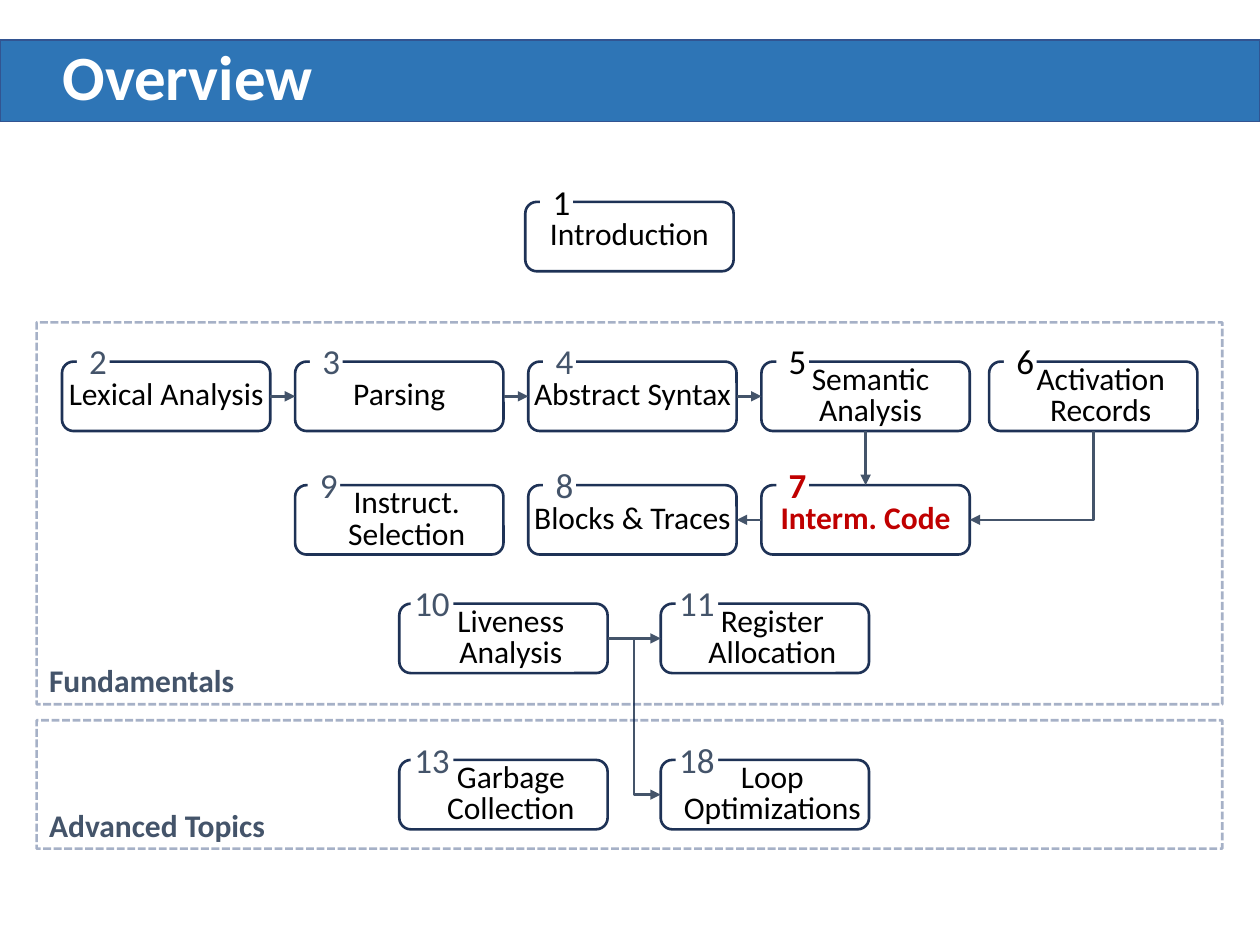
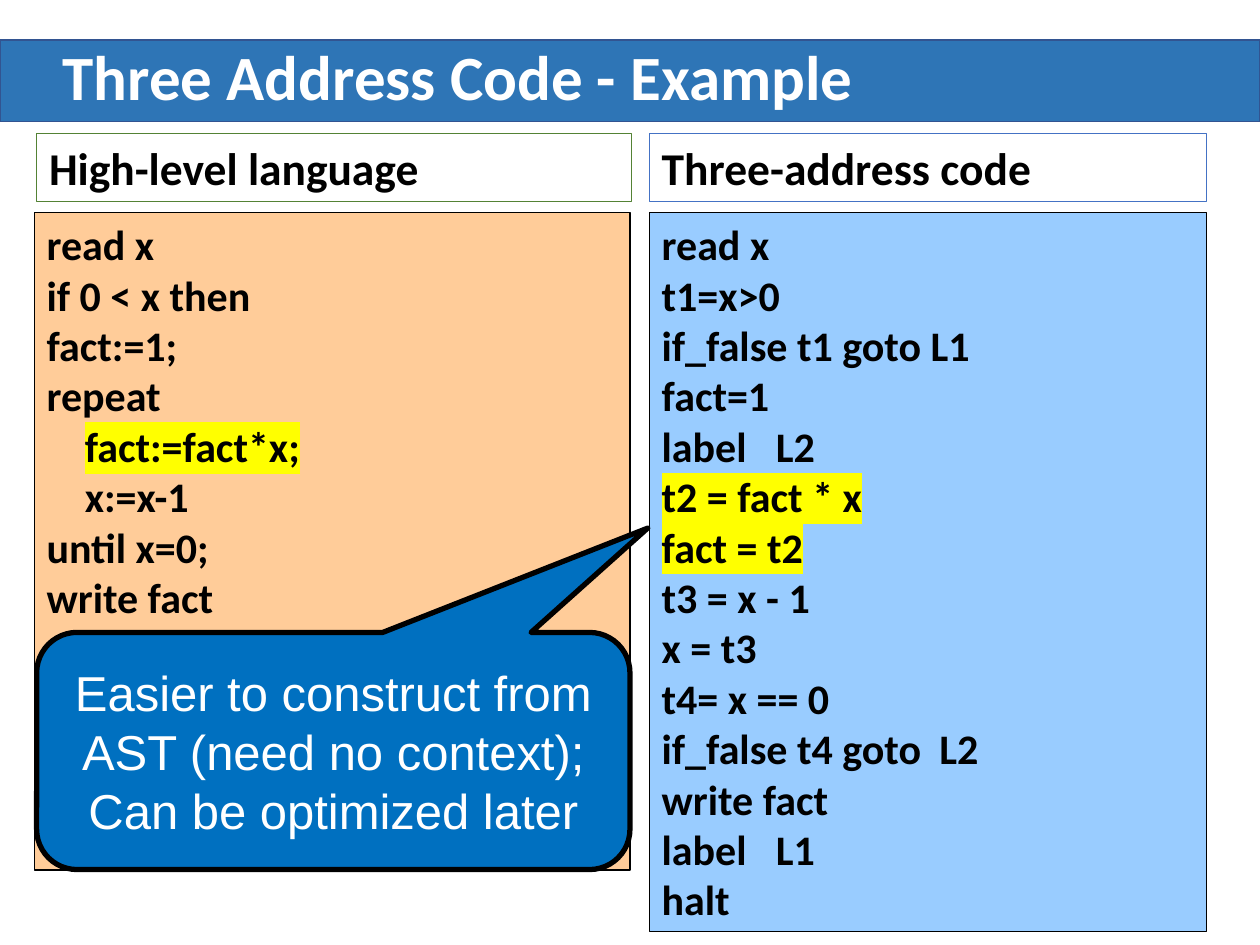
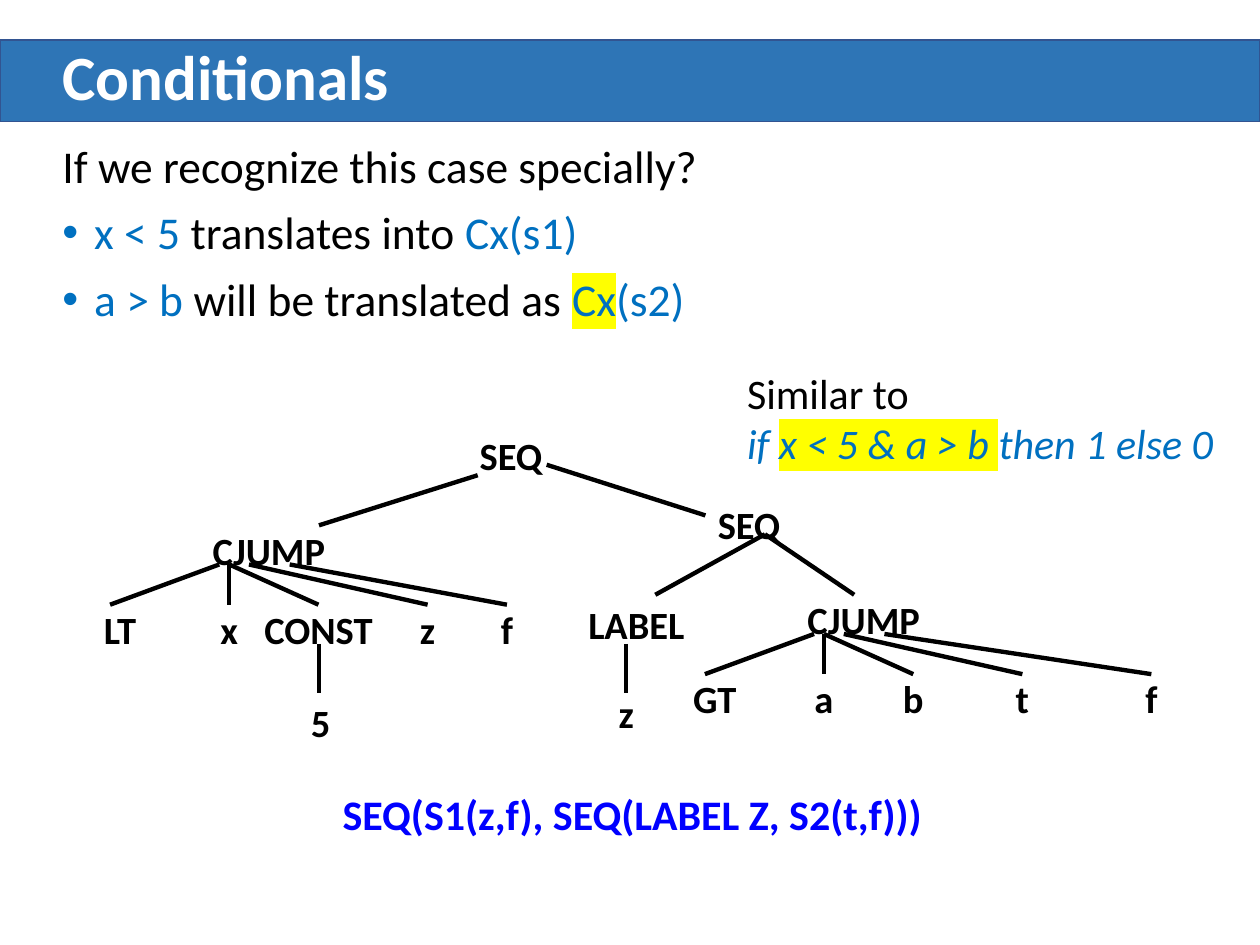
from dataclasses import dataclass
from typing import Sequence

from lxml.etree import SubElement
from pptx import Presentation
from pptx.dml.color import RGBColor
from pptx.enum.dml import MSO_LINE as Dash
from pptx.enum.shapes import MSO_CONNECTOR as Link, MSO_SHAPE as Preset
from pptx.enum.text import MSO_ANCHOR as Anchor, PP_ALIGN as Align
from pptx.oxml.ns import qn
from pptx.oxml.xmlchemy import OxmlElement
from pptx.util import Cm, Pt

BLACK, WHITE, YELLOW = "000000", "FFFFFF", "FFFF00"
BAND, BAND_EDGE = "2E75B6", "325491"
NAVY, SLATE, RED, BLUE = "1E3256", "44546A", "C00000", "0070C0"
DEFAULT_INSETS = (0.25, 0.13, 0.25, 0.13)
NO_INSETS = (0, 0, 0, 0)
TOP, LEFT, BOTTOM, RIGHT = range(4)


@dataclass(frozen=True)
class Style:
    size: float
    color: str = BLACK
    bold: bool = False
    italic: bool = False
    font: str = "Calibri"


@dataclass(frozen=True)
class Span:
    text: str
    color: str | None = None
    marked: bool = False


@dataclass(frozen=True)
class Line:
    spans: Sequence[Span]
    indent: float = 0
    tab: float = 0
    bullet: str = ""
    style: Style | None = None


@dataclass(frozen=True)
class Area:
    left: float
    top: float
    width: float
    height: float

    def lengths(self) -> list:
        return [Cm(v) for v in (self.left, self.top, self.width, self.height)]


@dataclass(frozen=True)
class Topic:
    number: int
    label: str
    left: float
    top: float
    inset: float = 0
    number_color: str = SLATE
    badge_shift: float = 0.3
    current: bool = False


def rgb(color: str) -> RGBColor:
    return RGBColor.from_string(color)


def plain(text: str, **options) -> Line:
    return Line([Span(text)], **options)


def marked(text: str, **options) -> Line:
    return Line([Span(text, marked=True)], **options)


def add_paragraph_property(para, tag: str, **attributes):
    """Put a bullet or tab element just before the paragraph's default font."""
    element = OxmlElement(tag)
    for name, value in attributes.items():
        element.set(name, value)
    para._p.pPr.find(qn("a:defRPr")).addprevious(element)
    return element


def write_line(para, line: Line, style: Style) -> None:
    style = line.style or style
    font = para.font
    font.name, font.size = style.font, Pt(style.size)
    font.bold, font.italic = style.bold, style.italic
    font.color.rgb = rgb(style.color)
    if line.indent:
        para._p.pPr.set("marL", str(Cm(line.indent)))
    if line.bullet:
        para._p.pPr.set("indent", str(-Cm(line.indent)))
        add_paragraph_property(para, "a:buFont", typeface="Arial")
        add_paragraph_property(para, "a:buChar", char=line.bullet)
    if line.tab:
        tabs = add_paragraph_property(para, "a:tabLst")
        SubElement(tabs, qn("a:tab"), pos=str(Cm(line.tab)), algn="l")
    for span in line.spans:
        run = para.add_run()
        run.text = span.text
        if span.color:
            run.font.color.rgb = rgb(span.color)
        if span.marked:
            highlight = SubElement(run._r.get_or_add_rPr(), qn("a:highlight"))
            SubElement(highlight, qn("a:srgbClr"), val=YELLOW)


def write(shape, lines: Sequence[Line], style: Style, align=Align.LEFT,
          anchor=Anchor.TOP, insets=DEFAULT_INSETS,
          spacing=None, before: float = 0) -> None:
    frame = shape.text_frame
    frame.word_wrap, frame.vertical_anchor = True, anchor
    (frame.margin_left, frame.margin_top,
     frame.margin_right, frame.margin_bottom) = [Cm(v) for v in insets]
    for index, line in enumerate(lines):
        para = frame.add_paragraph() if index else frame.paragraphs[0]
        para.alignment = align
        if spacing:
            para.line_spacing = spacing
        if before:
            para.space_before = Pt(before)
        write_line(para, line, style)


def add_text(page, area: Area, lines: Sequence[Line], style: Style, **options):
    box = page.shapes.add_textbox(*area.lengths())
    write(box, lines, style, **options)
    return box


def add_box(page, area: Area, preset=Preset.RECTANGLE, fill: str | None = None,
            edge: str | None = None, weight: float = 0.75):
    box = page.shapes.add_shape(preset, *area.lengths())
    box.shadow.inherit = False
    if fill:
        box.fill.solid()
        box.fill.fore_color.rgb = rgb(fill)
    else:
        box.fill.background()
    if edge:
        box.line.color.rgb = rgb(edge)
        box.line.width = Pt(weight)
    else:
        box.line.fill.background()
    return box


def add_line(page, start=(0, 0), end=(0, 0), color: str = BLACK,
             weight: float = 2.5, arrow: bool = False, kind=Link.STRAIGHT):
    line = page.shapes.add_connector(kind, *[Cm(v) for v in (*start, *end)])
    line.line.color.rgb = rgb(color)
    line.line.width = Pt(weight)
    if arrow:
        SubElement(line.line._get_or_add_ln(), qn("a:tailEnd"), type="triangle")
    SubElement(line._element.spPr, qn("a:effectLst"))
    return line


def add_elbow(page, start: tuple, end: tuple) -> None:
    """Draw an arrow that runs down from start, then sideways to end."""
    across, down = abs(end[0] - start[0]), end[1] - start[1]
    left = (start[0] + end[0] - down) / 2
    top = (start[1] + end[1] - across) / 2
    line = add_line(page, (left, top), (left + down, top + across),
                    SLATE, 1.5, True, Link.ELBOW)
    properties = line._element.spPr
    properties.find(qn("a:prstGeom")).set("prst", "bentConnector2")
    turn = properties.find(qn("a:xfrm"))
    if end[0] < start[0]:
        turn.set("rot", str(90 * 60000))
    else:
        turn.set("rot", str(270 * 60000))
        turn.set("flipH", "1")


def add_page(deck, title: str):
    page = deck.slides.add_slide(deck.slide_layouts[6])
    add_box(page, Area(0, 0.8, 25.4, 1.65), fill=BAND, edge=BAND_EDGE, weight=1)
    add_text(page, Area(1.01, 0.8, 23.47, 1.65), [plain(title)],
             Style(36, WHITE, bold=True), anchor=Anchor.MIDDLE, spacing=0.9)
    return page


TOPIC_WIDTH, TOPIC_HEIGHT = 4.2, 1.4
COLUMNS = [1.25 + 4.7 * column for column in range(4)] + [19.94]
ROW_1, ROW_2, ROW_3, ROW_4 = 7.29, 9.78, 12.17, 15.32
PAIR_LEFT, PAIR_RIGHT = 8.05, 13.32
TOPICS = [
    Topic(1, "Introduction", 10.59, 4.07, number_color=BLACK),
    Topic(2, "Lexical Analysis", COLUMNS[0], ROW_1),
    Topic(3, "Parsing", COLUMNS[1], ROW_1),
    Topic(4, "Abstract Syntax", COLUMNS[2], ROW_1),
    Topic(5, "Semantic Analysis", COLUMNS[3], ROW_1, 0.2, BLACK),
    Topic(6, "Activation Records", COLUMNS[4], ROW_1, 0.3, BLACK),
    Topic(7, "Interm. Code", COLUMNS[3], ROW_2, number_color=RED, current=True),
    Topic(8, "Blocks & Traces", COLUMNS[2], ROW_2),
    Topic(9, "Instruct. Selection", COLUMNS[1], ROW_2, 0.3, badge_shift=0.25),
    Topic(10, "Liveness Analysis", PAIR_LEFT, ROW_3, 0.3, badge_shift=0.23),
    Topic(11, "Register Allocation", PAIR_RIGHT, ROW_3, 0.3),
    Topic(13, "Garbage Collection", PAIR_LEFT, ROW_4, 0.3, badge_shift=0.23),
    Topic(18, "Loop Optimizations", PAIR_RIGHT, ROW_4, 0.3),
]
TOPIC_ARROWS = [(2, RIGHT, 3, LEFT), (3, RIGHT, 4, LEFT), (4, RIGHT, 5, LEFT),
                (5, BOTTOM, 7, TOP), (7, LEFT, 8, RIGHT), (10, RIGHT, 11, LEFT)]
STAGES = [("Fundamentals", Area(0.74, 6.5, 23.9, 7.7), 13.19),
          ("Advanced Topics", Area(0.74, 14.52, 23.9, 2.59), 16.11)]


def add_topic(page, topic: Topic):
    box = add_box(page, Area(topic.left, topic.top, TOPIC_WIDTH, TOPIC_HEIGHT),
                  Preset.ROUNDED_RECTANGLE, edge=NAVY, weight=1.5)
    write(box, [plain(topic.label)],
          Style(18, RED if topic.current else BLACK, topic.current),
          Align.CENTER, Anchor.MIDDLE, (topic.inset, 0, 0, 0), spacing=Pt(18))
    wide = topic.number > 9
    badge = add_box(page, Area(topic.left + topic.badge_shift, topic.top - 0.41,
                               0.86 if wide else 0.66, 0.79), fill=WHITE)
    write(badge, [plain(str(topic.number))],
          Style(20, topic.number_color, topic.current), Align.CENTER,
          Anchor.MIDDLE, NO_INSETS if wide else DEFAULT_INSETS)
    return box


def build_overview(deck) -> None:
    page = add_page(deck, "Overview")
    boxes = {topic.number: add_topic(page, topic) for topic in TOPICS}
    for source, source_side, target, target_side in TOPIC_ARROWS:
        arrow = add_line(page, color=SLATE, weight=1.5, arrow=True)
        arrow.begin_connect(boxes[source], source_side)
        arrow.end_connect(boxes[target], target_side)
    half_width, half_height = TOPIC_WIDTH / 2, TOPIC_HEIGHT / 2
    add_elbow(page, (COLUMNS[4] + half_width, ROW_1 + TOPIC_HEIGHT),
              (COLUMNS[3] + TOPIC_WIDTH, ROW_2 + half_height))
    add_elbow(page, (12.78, ROW_3 + half_height),
              (PAIR_RIGHT, ROW_4 + half_height))
    for name, area, label_top in STAGES:
        frame = add_box(page, area, edge="002060", weight=1.5)
        frame.line.dash_style = Dash.SQUARE_DOT
        color = next(frame.line._get_or_add_ln().iter(qn("a:srgbClr")))
        SubElement(color, qn("a:alpha"), val="35000")
        add_text(page, Area(area.left, label_top, 12.7, 1.02), [plain(name)],
                 Style(18, SLATE, bold=True))


SOURCE_CODE = [
    plain("read x"), plain("if 0 < x then"), plain("fact:=1;"), plain("repeat"),
    marked("fact:=fact*x;", indent=0.77), plain("x:=x-1", indent=0.77),
    plain("until x=0;"), plain("write fact"),
]
ADDRESS_CODE = [
    plain("read x"), plain("t1=x>0"), plain("if_false t1 goto L1"),
    plain("fact=1"), plain("label\tL2", tab=2.3), marked("t2 = fact * x"),
    marked("fact = t2"), plain("t3 = x - 1"), plain("x = t3"),
    plain("t4= x == 0"), plain("if_false t4 goto\tL2", tab=5.6),
    plain("write fact"), plain("label\tL1", tab=2.3), plain("halt"),
]


def build_example(deck) -> None:
    page = add_page(deck, "Three Address Code - Example")
    panels = [
        ("High-level language", Area(0.74, 2.69, 11.99, 1.37), "548235",
         SOURCE_CODE, Area(0.69, 4.28, 12.01, 13.26), "FFCC99"),
        ("Three-address code", Area(13.09, 2.69, 11.23, 1.37), "4472C4",
         ADDRESS_CODE, Area(13.09, 4.28, 11.23, 14.5), "99CCFF"),
    ]
    for heading, heading_area, edge, code, code_area, fill in panels:
        write(add_box(page, code_area, fill=fill, edge=BLACK), code,
              Style(24, bold=True))
        write(add_box(page, heading_area, edge=edge), [plain(heading)],
              Style(26, bold=True))
    callout = add_box(page, Area(0.74, 12.75, 11.96, 4.78),
                      Preset.ROUNDED_RECTANGULAR_CALLOUT, BLUE, BLACK, 3)
    for index, value in enumerate((0.53, -0.94, 0.17)):
        callout.adjustments[index] = value
    write(callout, [plain("Easier to construct from AST (need no context);"),
                    plain("Can be optimized later")],
          Style(28, WHITE, font="Arial"), Align.CENTER, Anchor.MIDDLE)


NODE_STYLE = Style(22, bold=True)
JUMP_STARTS = (0, 0.2, 0.2, 0.6, 1.42)
JUMPS = [
    ((16.41, 11.99), ("GT", "a", "b", "t", "f"), (-2.2, 0.2, 2, 4.2, 6.8)),
    ((4.42, 10.59), ("LT", "x", "CONST", "z", "f"), (-2.2, 0.2, 2, 4.2, 5.8)),
]
NODES = [("SEQ", 9.42, 8.57, 2), ("SEQ", 14.22, 9.96, 2),
         ("LABEL", 11.61, 11.99, 2.79), ("z", 12.22, 13.78, 0.81),
         ("5", 6.02, 13.97, 0.91)]
BRANCHES = [((9.63, 9.58), (6.43, 10.59)), ((11.02, 9.37), (14.22, 10.39)),
            ((15.42, 10.77), (17.22, 11.99)), ((15.42, 10.77), (13.21, 11.99)),
            ((12.62, 12.98), (12.62, 13.97)), ((6.43, 12.98), (6.43, 13.97))]


def add_centred_node(page, text: str, center: float, top: float) -> None:
    width = 1.2 if len(text) <= 2 else 2.6
    add_text(page, Area(center - width / 2, top, width, 0.98), [plain(text)],
             NODE_STYLE, align=Align.CENTER, anchor=Anchor.MIDDLE,
             insets=NO_INSETS)


def add_jump(page, origin: tuple, leaves: Sequence[str],
             ends: Sequence[float]) -> None:
    """Draw a CJUMP node whose five branches fan out to its leaves."""
    left, top = origin
    add_centred_node(page, "CJUMP", left + 1, top)
    for index, (leaf, start, end) in enumerate(zip(leaves, JUMP_STARTS, ends)):
        add_line(page, (left + start, top + 0.79), (left + end, top + 1.6))
        nudge = 0 if index else 0.2
        add_centred_node(page, leaf, left + end + nudge, top + 1.6)


def build_conditionals(deck) -> None:
    page = add_page(deck, "Conditionals")
    add_text(page, Area(1.01, 2.77, 23.47, 11.76), [
        plain("If we recognize this case specially?"),
        Line([Span("x < 5 ", BLUE), Span("translates into "),
              Span("Cx(s1)", BLUE)], indent=0.64, bullet="•"),
        Line([Span("a > b ", BLUE), Span("will be translated as "),
              Span("Cx", BLUE, marked=True), Span("(s2)", BLUE)],
             indent=0.64, bullet="•"),
    ], Style(26), spacing=0.9, before=10)
    for origin, leaves, ends in JUMPS:
        add_jump(page, origin, leaves, ends)
    for text, left, top, width in NODES:
        add_text(page, Area(left, top, width, 1.19), [plain(text)], NODE_STYLE)
    for start, end in BRANCHES:
        add_line(page, start, end)
    add_text(page, Area(1.75, 15.77, 22, 1.27),
             [plain("SEQ(S1(z,f), SEQ(LABEL Z, S2(t,f)))")],
             Style(24, "0000FF", bold=True), align=Align.CENTER)
    add_text(page, Area(14.81, 7.27, 10.03, 2.31), [
        plain("Similar to"),
        Line([Span("if "), Span("x < 5 & a > b ", marked=True),
              Span("then 1 else 0")], style=Style(24, BLUE, italic=True)),
    ], Style(24))


def main() -> None:
    deck = Presentation()
    deck.slide_width, deck.slide_height = Cm(25.4), Cm(19.05)
    build_overview(deck)
    build_example(deck)
    build_conditionals(deck)
    deck.save("out.pptx")


if __name__ == "__main__":
    main()
